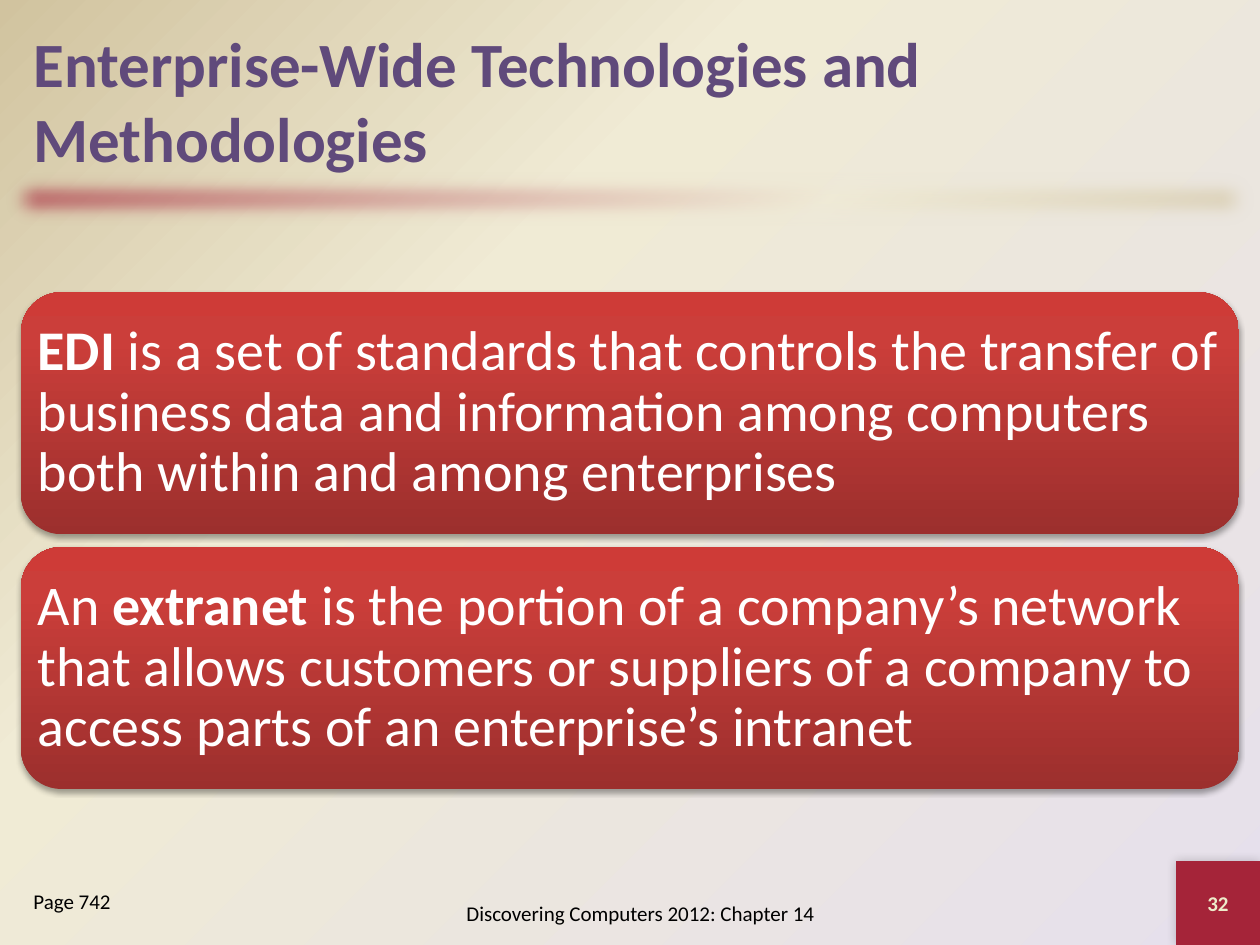
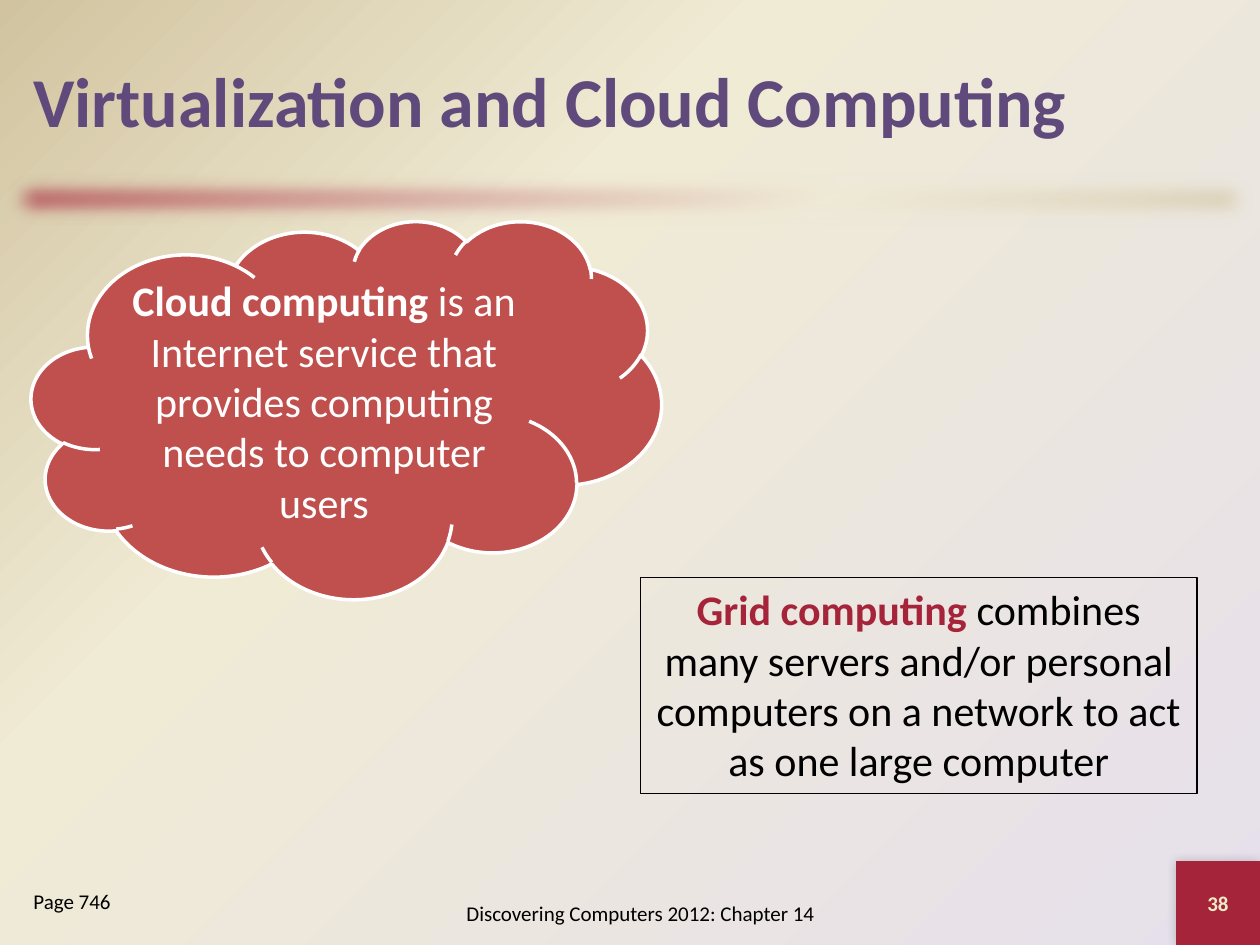
from dataclasses import dataclass
from typing import NamedTuple, Optional

from lxml import etree
from pptx import Presentation
from pptx.dml.color import RGBColor
from pptx.enum import shapes, text
from pptx.oxml import ns
from pptx.util import Pt

CRIMSON = RGBColor(0xA5, 0x24, 0x39)
CREAM = RGBColor(0xF0, 0xEB, 0xD5)
SAND = RGBColor(0xD1, 0xC3, 0x9F)
LAVENDER = RGBColor(0xE6, 0xE0, 0xEC)
PURPLE = RGBColor(0x60, 0x4A, 0x7B)
PALE = RGBColor(0xEE, 0xEB, 0xCA)
BRICK = RGBColor(0xC0, 0x50, 0x4D)
WHITE = RGBColor(0xFF, 0xFF, 0xFF)
BLACK = RGBColor(0, 0, 0)

FONT = "Calibri"
FOOTER = "Discovering Computers 2012: Chapter 14"
MARGIN = 12
CONTENT_WIDTH = 696
CARD_TOP, CARD_HEIGHT, CARD_STEP = 167, 138.24, 145.6

BACKDROP_STOPS = ((0, LAVENDER), (65, CREAM), (100, SAND))
BAND_STOPS = ((0, CRIMSON), (65, CREAM), (100, SAND))
CARD_STOPS = ((0, RGBColor(0x9C, 0x2F, 0x2D)), (80, RGBColor(0xCB, 0x3E, 0x3A)),
              (100, RGBColor(0xCE, 0x3B, 0x37)))

LEFT, CENTER = text.PP_ALIGN.LEFT, text.PP_ALIGN.CENTER
TOP, MIDDLE = text.MSO_ANCHOR.TOP, text.MSO_ANCHOR.MIDDLE
SHAPE = shapes.MSO_SHAPE


class Span(NamedTuple):
    words: str
    color: RGBColor
    bold: bool = False


class Area(NamedTuple):
    left: float
    top: float
    width: float
    height: float

    def lengths(self):
        return [Pt(value) for value in self]


class Shadow(NamedTuple):
    opacity: int
    blur: float
    distance: float
    angle: int


@dataclass
class TextStyle:
    size: float
    align: text.PP_ALIGN = LEFT
    anchor: text.MSO_ANCHOR = MIDDLE
    line_spacing: Optional[float] = None
    insets: tuple = (7.2, 3.6)


@dataclass
class PageFrame:
    title: str
    title_size: float
    number: str
    reference: str


def add_element(parent, tag: str, **attributes):
    return etree.SubElement(parent, ns.qn(tag), {key: str(value) for key, value in attributes.items()})


def set_gradient(fill, element, stops, angle: Optional[int] = None) -> None:
    fill.solid()
    solid = element.find(".//" + ns.qn("a:solidFill"))
    gradient = etree.Element(ns.qn("a:gradFill"), rotWithShape="1")
    stop_list = add_element(gradient, "a:gsLst")
    for position, color in stops:
        stop = add_element(stop_list, "a:gs", pos=position * 1000)
        add_element(stop, "a:srgbClr", val=color)
    if angle is None:
        circle = add_element(gradient, "a:path", path="circle")
        add_element(circle, "a:fillToRect", l=100000, t=100000)
    else:
        add_element(gradient, "a:lin", ang=angle * 60000, scaled=0)
    solid.getparent().replace(solid, gradient)


def effects_of(shape):
    return shape.element.find(".//" + ns.qn("a:effectLst"))


def add_shadow(shape, shadow: Shadow) -> None:
    outer = add_element(effects_of(shape), "a:outerShdw", blurRad=Pt(shadow.blur),
                        dist=Pt(shadow.distance), dir=shadow.angle * 60000, rotWithShape=0)
    color = add_element(outer, "a:srgbClr", val=BLACK)
    add_element(color, "a:alpha", val=shadow.opacity * 1000)


def write(shape, spans: list[Span], style: TextStyle) -> None:
    frame = shape.text_frame
    frame.word_wrap = True
    frame.vertical_anchor = style.anchor
    frame.margin_left = frame.margin_right = Pt(style.insets[0])
    frame.margin_top = frame.margin_bottom = Pt(style.insets[1])
    para = frame.paragraphs[0]
    para.alignment = style.align
    if style.line_spacing:
        para.line_spacing = style.line_spacing
    for words, color, bold in spans:
        run = para.add_run()
        run.text = words
        run.font.name = FONT
        run.font.size = Pt(style.size)
        run.font.bold = bold
        run.font.color.rgb = color


def add_label(page, area: Area, span: Span, style: TextStyle) -> None:
    write(page.shapes.add_textbox(*area.lengths()), [span], style)


def add_figure(page, preset, area: Area, fill: Optional[RGBColor] = None,
               line: Optional[RGBColor] = None, line_width: float = 0):
    shape = page.shapes.add_shape(preset, *area.lengths())
    shape.shadow.inherit = False
    if fill is None:
        shape.fill.background()
    else:
        shape.fill.solid()
        shape.fill.fore_color.rgb = fill
    if line is None:
        shape.line.fill.background()
    else:
        shape.line.color.rgb = line
        shape.line.width = Pt(line_width)
    return shape


def add_page(deck, frame: PageFrame):
    page = deck.slides.add_slide(deck.slide_layouts[6])
    set_gradient(page.background.fill, page.element, BACKDROP_STOPS)

    band = add_figure(page, SHAPE.RECTANGLE, Area(0, 96, 720, 36))
    set_gradient(band.fill, band.element, BAND_STOPS, 45)
    add_element(effects_of(band), "a:softEdge", rad=Pt(12.5))

    corner = add_figure(page, SHAPE.RECTANGLE, Area(672, 492, 48, 48), CRIMSON)
    add_shadow(corner, Shadow(20, 6, 0, 225))
    write(corner, [Span(frame.number, PALE, True)], TextStyle(12, CENTER))

    add_label(page, Area(MARGIN, 12, CONTENT_WIDTH, 90), Span(frame.title, PURPLE, True),
              TextStyle(frame.title_size))
    add_label(page, Area(216, 504, 300, 36), Span(FOOTER, BLACK), TextStyle(12, CENTER))
    add_label(page, Area(MARGIN, 504, 132, 36), Span(frame.reference, BLACK),
              TextStyle(12, anchor=TOP))
    return page


def add_definition_cards(page, definitions: list[list[Span]]) -> None:
    style = TextStyle(32, line_spacing=0.9, insets=(2.8, 2.8))
    for index, spans in enumerate(definitions):
        area = Area(MARGIN, CARD_TOP + index * CARD_STEP, CONTENT_WIDTH, CARD_HEIGHT)
        card = add_figure(page, SHAPE.ROUNDED_RECTANGLE, area)
        set_gradient(card.fill, card.element, CARD_STOPS, 270)
        add_shadow(card, Shadow(35, 3.1, 1.8, 90))
        write(card, spans, style)


def build_enterprise_page(deck) -> None:
    page = add_page(deck, PageFrame("Enterprise-Wide Technologies and Methodologies",
                                    36, "32", "Page 742"))
    add_definition_cards(page, [
        [Span("EDI", WHITE, True),
         Span(" is a set of standards that controls the transfer of business data and "
              "information among computers both within and among enterprises", WHITE)],
        [Span("An ", WHITE),
         Span("extranet", WHITE, True),
         Span(" is the portion of a company’s network that allows customers or suppliers "
              "of a company to access parts of an enterprise’s intranet", WHITE)],
    ])


def build_cloud_page(deck) -> None:
    page = add_page(deck, PageFrame("Virtualization and Cloud Computing", 40, "38", "Page 746"))
    cloud = add_figure(page, SHAPE.CLOUD, Area(18, 126, 360, 216), BRICK, WHITE, 2)
    write(cloud, [
        Span("Cloud computing", WHITE, True),
        Span(" is an Internet service that provides computing needs to computer users", WHITE),
    ], TextStyle(24, CENTER))
    grid = add_figure(page, SHAPE.RECTANGLE, Area(366, 330, 318, 123.6), line=BLACK, line_width=0.75)
    write(grid, [
        Span("Grid computing ", CRIMSON, True),
        Span("combines many servers and/or personal computers on a network to act as one "
             "large computer", BLACK),
    ], TextStyle(24, CENTER, TOP))


def main() -> None:
    deck = Presentation()
    deck.slide_width, deck.slide_height = Pt(720), Pt(540)
    build_enterprise_page(deck)
    build_cloud_page(deck)
    deck.save("out.pptx")


if __name__ == "__main__":
    main()
